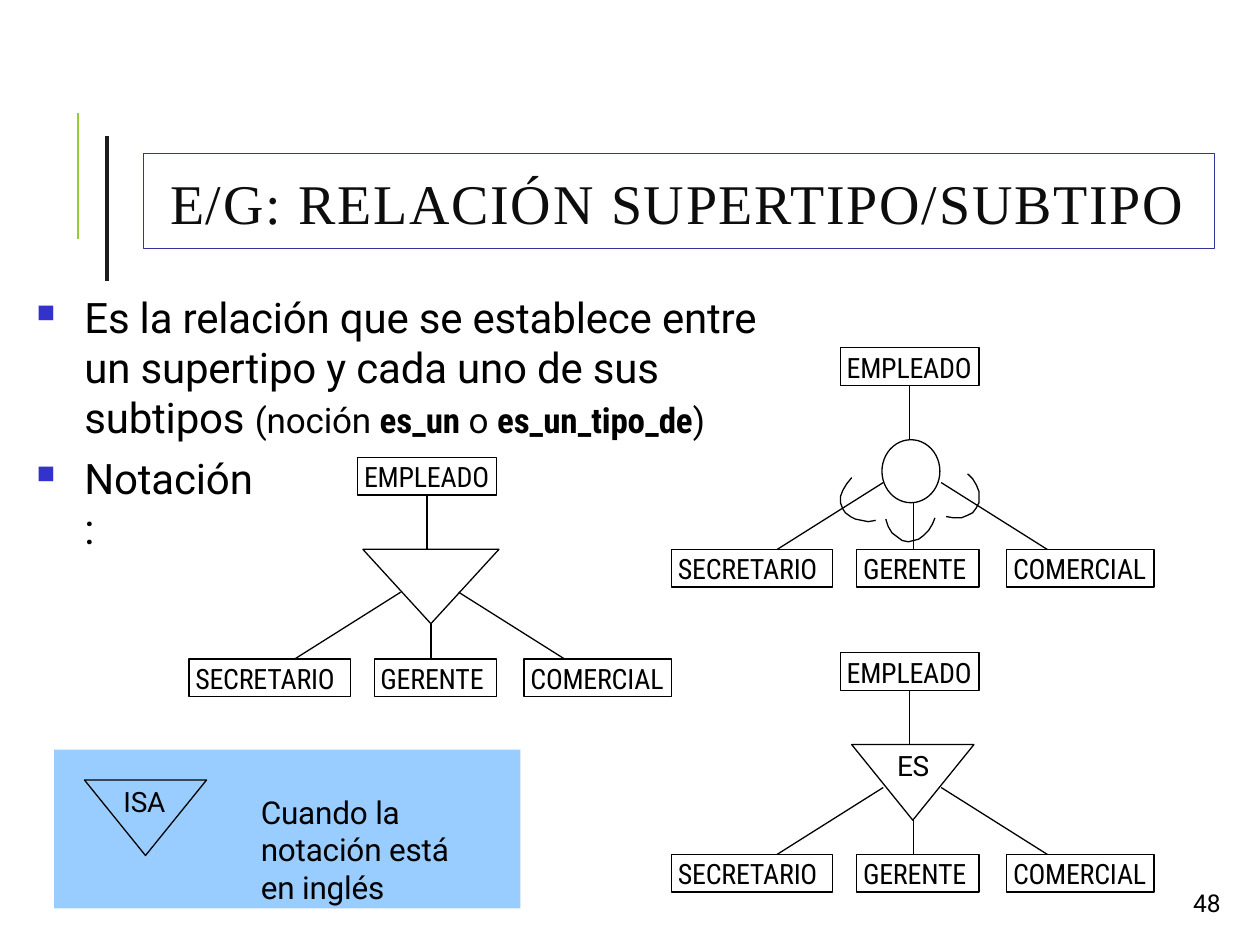
from dataclasses import dataclass

from lxml import etree
from pptx import Presentation
from pptx.dml.color import RGBColor
from pptx.enum.shapes import MSO_CONNECTOR, MSO_SHAPE
from pptx.enum.text import MSO_ANCHOR, MSO_AUTO_SIZE, PP_ALIGN
from pptx.oxml.ns import qn
from pptx.util import Inches, Pt

STRAIGHT = MSO_CONNECTOR.STRAIGHT
RECT, OVAL, TRIANGLE = MSO_SHAPE.RECTANGLE, MSO_SHAPE.OVAL, MSO_SHAPE.FLOWCHART_MERGE
TOP, MIDDLE = MSO_ANCHOR.TOP, MSO_ANCHOR.MIDDLE
LEFT = PP_ALIGN.LEFT
NO_FIT = MSO_AUTO_SIZE.NONE


@dataclass(frozen=True)
class Theme:
    ink: str = "000000"
    paper: str = "FFFFFF"
    title_ink: str = "0D0D0D"
    frame: str = "333399"
    bullet: str = "3333CC"
    panel: str = "99CCFF"
    green: str = "99CB38"
    dark: str = "1C1C1C"
    body: str = "Roboto"
    narrow: str = "Roboto Condensed"
    heading: str = "Times New Roman"
    title_pt: float = 32
    body_pt: float = 24
    aside_pt: float = 20
    note_pt: float = 18
    label_pt: float = 16
    page_pt: float = 14
    line_pt: float = 0.75


T = Theme()


@dataclass(frozen=True)
class Symbol:
    kind: int
    left: float
    width: float
    height: float


@dataclass(frozen=True)
class Tree:
    """A hierarchy whose subtype boxes start at (left, top)."""
    left: float
    top: float
    symbol: Symbol


SUBTYPES = (("SECRETARIO", 0, 1.28), ("GERENTE", 1.47, 0.97), ("COMERCIAL", 2.66, 1.17))
BOX_H = 0.3
RISE = 0.87  # from the top of a symbol to the subtype boxes
TREES = (
    Tree(1.5, 5.23, Symbol(TRIANGLE, 1.38, 1.08, 0.59)),
    Tree(5.33, 4.36, Symbol(OVAL, 1.67, 0.46, 0.5)),
    Tree(5.33, 6.78, Symbol(TRIANGLE, 1.43, 0.97, 0.6)),
)
ARCS = (
    ((6.76, 3.79), (6.72, 3.84), (6.69, 3.89), (6.67, 3.94), (6.67, 3.99), (6.69, 4.04),
     (6.71, 4.07), (6.75, 4.1), (6.79, 4.12), (6.84, 4.13), (6.89, 4.14), (6.95, 4.13)),
    ((7.51, 4.1), (7.57, 4.11), (7.63, 4.11), (7.68, 4.09), (7.72, 4.07), (7.75, 4.03),
     (7.77, 3.99), (7.77, 3.95), (7.77, 3.9), (7.75, 3.85), (7.72, 3.8), (7.68, 3.76)),
    ((7.03, 4.12), (7.05, 4.18), (7.08, 4.23), (7.12, 4.26), (7.16, 4.29), (7.21, 4.3),
     (7.25, 4.29), (7.29, 4.28), (7.33, 4.25), (7.37, 4.21), (7.4, 4.16), (7.42, 4.11)),
)


def rgb(value: str) -> RGBColor:
    return RGBColor.from_string(value)


def place(sp, x: float, y: float, w: float, h: float) -> None:
    sp.left, sp.top, sp.width, sp.height = map(Inches, (x, y, w, h))


def write(sp, text: str, size: float, font: str = T.body, color: str = T.ink,
          indent: float = 0, spacing: float = -0.1, anchor=TOP):
    tf = sp.text_frame
    tf.word_wrap, tf.auto_size, tf.vertical_anchor = True, NO_FIT, anchor
    tf.margin_left = tf.margin_right = tf.margin_bottom = 0
    tf.margin_top = Inches(0.02)
    p = tf.paragraphs[0]
    p.text, p.alignment = text, LEFT
    pPr = p._p.get_or_add_pPr()
    pPr.set("marL", str(Inches(indent)))
    pPr.set("indent", "0")
    p.font.name, p.font.size = font, Pt(size)
    p.font.color.rgb = rgb(color)
    pPr.find(qn("a:defRPr")).set("spc", str(round(spacing * 100)))
    return p


def add_text(s, x: float, y: float, w: float, h: float, text: str, size: float, **style):
    sp = s.shapes.add_textbox(*map(Inches, (x, y, w, h)))
    return write(sp, text, size, **style)


def add_bullet(p) -> None:
    pPr = p._p.get_or_add_pPr()
    pPr.set("marL", str(Inches(0.39)))
    pPr.set("indent", str(Inches(-0.38)))
    color = etree.Element(qn("a:buClr"))
    etree.SubElement(color, qn("a:srgbClr"), val=T.bullet)
    size = etree.Element(qn("a:buSzPct"), val="60000")
    char = etree.Element(qn("a:buChar"), char="■")
    for element in (color, size, char):
        pPr.find(qn("a:defRPr")).addprevious(element)


def add_outline(s, kind, x: float, y: float, w: float, h: float):
    sp = s.shapes.add_shape(kind, *map(Inches, (x, y, w, h)))
    sp.shadow.inherit = False
    sp.fill.background()
    sp.line.color.rgb, sp.line.width = rgb(T.ink), Pt(T.line_pt)
    return sp


def add_line(s, x1: float, y1: float, x2: float, y2: float,
             color: str = T.ink, width: float = T.line_pt):
    line = s.shapes.add_connector(STRAIGHT, *map(Inches, (x1, y1, x2, y2)))
    line.line.color.rgb, line.line.width = rgb(color), Pt(width)
    etree.SubElement(line._element.spPr, qn("a:effectLst"))
    return line


def add_entity(s, name: str, x: float, y: float, w: float):
    sp = add_outline(s, RECT, x, y, w, BOX_H)
    sp.fill.solid()
    sp.fill.fore_color.rgb = rgb(T.paper)
    write(sp, name, T.label_pt, font=T.narrow, indent=0.05)
    return sp


def add_tree(s, tree: Tree) -> None:
    x, y, symbol = tree.left, tree.top, tree.symbol
    parent = add_entity(s, "EMPLEADO", x + 1.34, y - 1.6, 1.1)
    stem_x = x + 1.34 + 1.1 / 2
    stem = add_line(s, stem_x, y - 1.3, stem_x, y - RISE)
    stem.begin_connect(parent, 2)
    for near, far in ((1.68, 0.76), (2.14, 3.06)):
        add_line(s, x + near, y - 0.53, x + far, y + 0.05)
    add_outline(s, symbol.kind, x + symbol.left, y - RISE, symbol.width, symbol.height)
    add_line(s, x + 1.92, y - RISE + symbol.height, x + 1.92, y)
    for name, offset, width in SUBTYPES:
        add_entity(s, name, x + offset, y, width)


def add_arc(s, points) -> None:
    builder = s.shapes.build_freeform(*map(Inches, points[0]))
    builder.add_line_segments([tuple(map(Inches, pt)) for pt in points[1:]], close=False)
    sp = builder.convert_to_shape()
    sp.shadow.inherit = False
    sp.fill.background()
    sp.line.color.rgb, sp.line.width = rgb(T.ink), Pt(T.line_pt)


def add_definition(s) -> None:
    p = add_text(s, 0.28, 2.29, 5.77, 1.23,
                 "Es la relación que se establece entre un supertipo y cada uno de sus subtipos ",
                 T.body_pt)
    add_bullet(p)
    for text, strong in (("(noción ", False), ("es_un", True), (" o ", False),
                         ("es_un_tipo_de", True), (")", False)):
        r = p.add_run()
        r.text, r.font.size, r.font.bold = text, Pt(T.aside_pt), strong
        r.font.name = T.narrow if strong else T.body


def main() -> None:
    prs = Presentation()
    prs.slide_width, prs.slide_height = Inches(10), Inches(7.5)
    s = prs.slides.add_slide(prs.slide_layouts[5])

    add_line(s, 0.62, 0.9, 0.62, 1.9, T.green, 1.5)
    add_line(s, 0.85, 1.08, 0.85, 2.23, T.dark, 2.5)
    title = s.shapes.title
    place(title, 1.14, 1.22, 8.5, 0.75)
    title.line.color.rgb, title.line.width = rgb(T.frame), Pt(T.line_pt)
    write(title, "E/G: RELACIÓN SUPERTIPO/SUBTIPO", T.title_pt, font=T.heading,
          color=T.title_ink, indent=0.21, spacing=1, anchor=MIDDLE)

    add_definition(s)
    add_bullet(add_text(s, 0.28, 3.57, 1.78, 0.83, "Notación:", T.body_pt))
    for tree in TREES:
        add_tree(s, tree)
    for points in ARCS:
        add_arc(s, points)
    add_text(s, 7.11, 5.92, 0.28, 0.29, "ES", T.label_pt, indent=0.01)

    panel = add_outline(s, RECT, 0.43, 5.95, 3.7, 1.26)
    panel.fill.solid()
    panel.fill.fore_color.rgb = rgb(T.panel)
    panel.line.fill.background()
    add_outline(s, TRIANGLE, 0.67, 6.19, 0.97, 0.6)
    add_text(s, 0.98, 6.21, 0.35, 0.29, "ISA", T.label_pt)
    add_text(s, 2.07, 6.27, 1.7, 0.93, "Cuando la notación está en inglés", T.note_pt)
    add_text(s, 9.46, 7.03, 0.24, 0.26, "48", T.page_pt, indent=0.01, spacing=0)
    prs.save("out.pptx")


if __name__ == "__main__":
    main()
